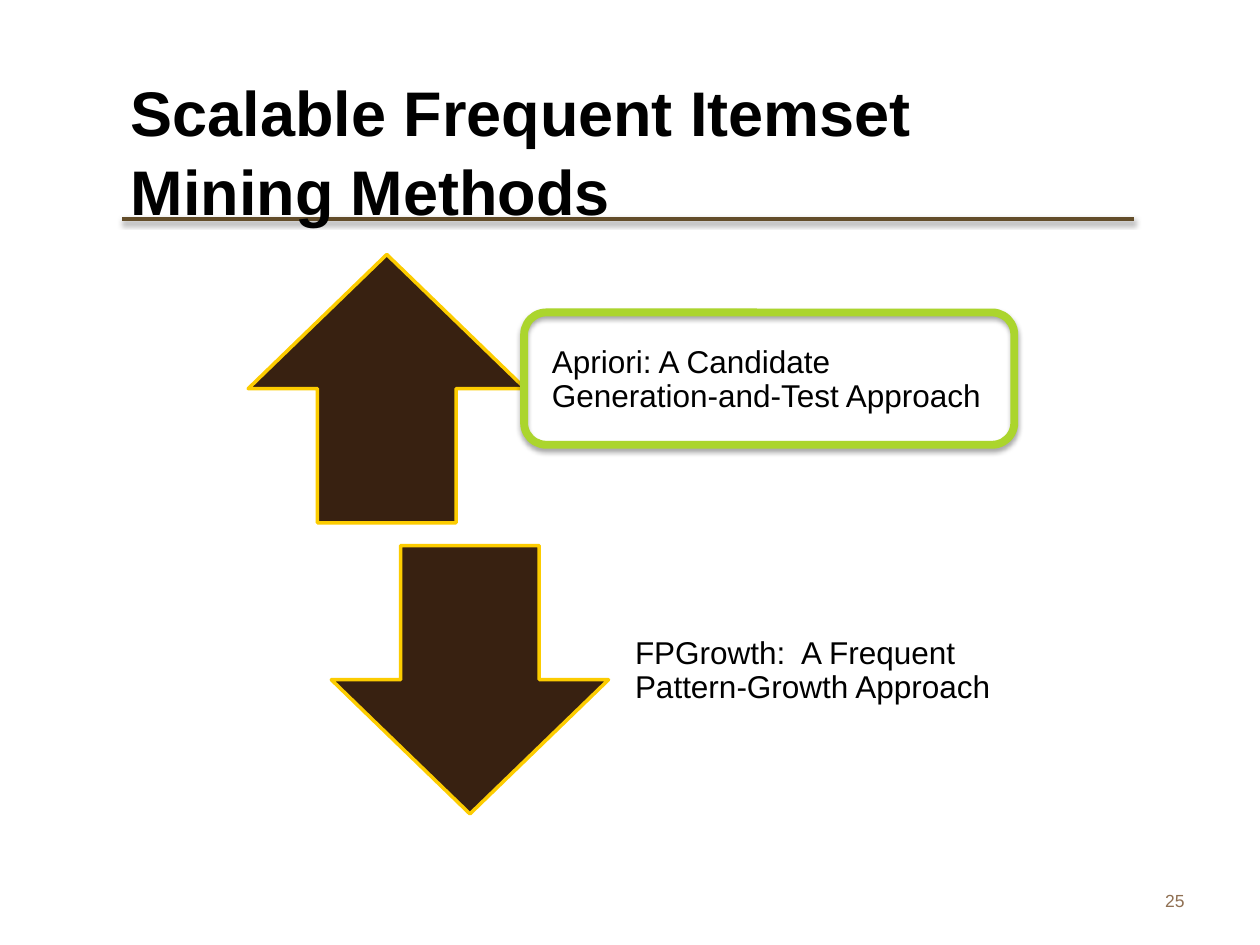
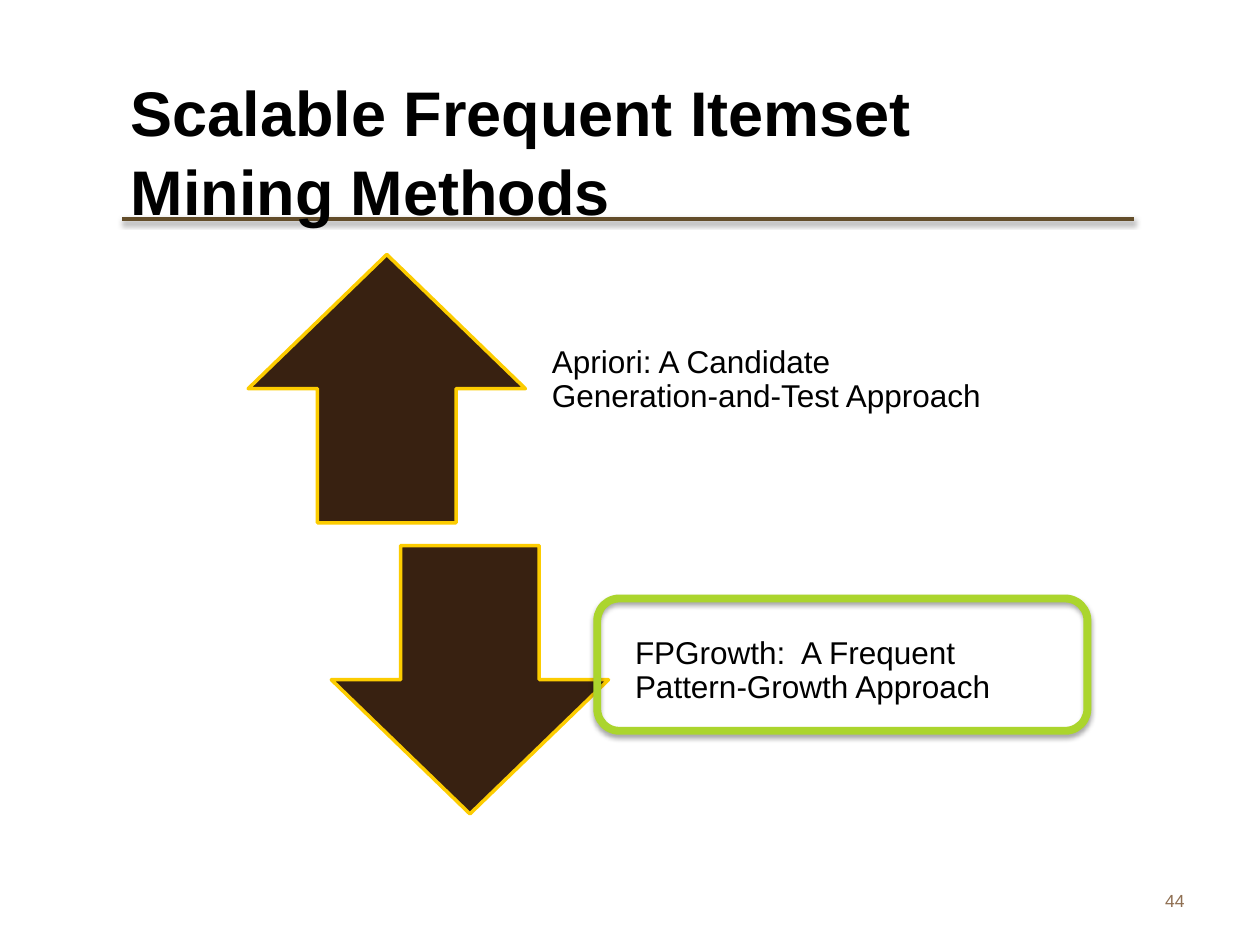
"""Build two slides on scalable frequent itemset mining, each highlighting one method."""
import pptx
import pptx.util
import pptx.dml.color
import pptx.enum.shapes
import pptx.enum.text
import pptx.oxml
import pptx.oxml.ns

Inches, Pt = pptx.util.Inches, pptx.util.Pt
SHAPE = pptx.enum.shapes.MSO_SHAPE
ALIGN = pptx.enum.text.PP_ALIGN

TITLE = "Scalable Frequent Itemset Mining Methods"
METHODS = [
    (SHAPE.UP_ARROW, "Apriori: A Candidate Generation-and-Test Approach"),
    (SHAPE.DOWN_ARROW, "FPGrowth:  A Frequent Pattern-Growth Approach"),
]
SLIDES = [
    {"number": "25", "highlight": (4.16, 2.48)},
    {"number": "44", "highlight": (4.74, 4.75)},
]

COLORS = {
    "text": "000000",
    "number": "8F6F52",
    "rule": "634D2A",
    "arrow": "382111",
    "arrow_edge": "FCCC00",
    "highlight": "ABD52D",
    "shadow": "000000",
}
FONT = "Arial"
ARROW_LEFT, ARROW_TOP = 1.97, 2.02
ARROW_WIDTH, ARROW_HEIGHT = 2.2, 2.13
STEP_X, STEP_Y = 0.66, 2.31
LABEL_OFFSET, LABEL_WIDTH = 2.27, 3.73
LABEL_INSETS = (0.14, 0, 0.14, 0.14)
HIGHLIGHT_SIZE = (3.89, 1.05)


def rgb(name):
    return pptx.dml.color.RGBColor.from_string(COLORS[name])


def set_line(item, color, width):
    item.line.color.rgb = rgb(color)
    item.line.width = Pt(width)


def drop_shadow(effects, alpha, distance):
    effects.append(pptx.oxml.parse_xml(
        f'<a:outerShdw {pptx.oxml.ns.nsdecls("a")} blurRad="{Pt(3.1)}" dist="{Pt(distance)}" '
        f'dir="5400000" rotWithShape="0"><a:srgbClr val="{COLORS["shadow"]}">'
        f'<a:alpha val="{alpha * 1000}"/></a:srgbClr></a:outerShdw>'))


def add_text(slide, text, box, size, color="text", bold=False, align=ALIGN.LEFT,
             spacing=None, insets=(0.1, 0.05, 0.1, 0.05)):
    frame = slide.shapes.add_textbox(*map(Inches, box)).text_frame
    frame.word_wrap = True
    frame.vertical_anchor = pptx.enum.text.MSO_ANCHOR.MIDDLE
    (frame.margin_left, frame.margin_top,
     frame.margin_right, frame.margin_bottom) = map(Inches, insets)
    paragraph = frame.paragraphs[0]
    paragraph.text = text
    paragraph.alignment = align
    paragraph.line_spacing = spacing
    font = paragraph.font
    font.name, font.size, font.bold = FONT, Pt(size), bold
    font.color.rgb = rgb(color)


def add_shape(slide, kind, box, edge, width):
    shape = slide.shapes.add_shape(kind, *map(Inches, box))
    shape.shadow.inherit = False
    set_line(shape, edge, width)
    return shape


def add_frame(slide, number):
    rule = slide.shapes.add_connector(
        pptx.enum.shapes.MSO_CONNECTOR.STRAIGHT,
        Inches(0.97), Inches(1.74), Inches(9), Inches(1.74))
    set_line(rule, "rule", 2)
    effects = pptx.oxml.parse_xml(f'<a:effectLst {pptx.oxml.ns.nsdecls("a")}/>')
    rule._element.spPr.append(effects)
    drop_shadow(effects, 38, 1.6)
    add_text(slide, number, (7.17, 6.95, 2.33, 0.4), 10, "number", align=ALIGN.RIGHT)
    add_text(slide, TITLE, (0.94, 0.71, 8.08, 0.94), 36, bold=True, spacing=1.05)


def add_methods(slide):
    for index, (kind, label) in enumerate(METHODS):
        left, top = ARROW_LEFT + index * STEP_X, ARROW_TOP + index * STEP_Y
        arrow = add_shape(slide, kind, (left, top, ARROW_WIDTH, ARROW_HEIGHT), "arrow_edge", 2)
        arrow.fill.solid()
        arrow.fill.fore_color.rgb = rgb("arrow")
        add_text(slide, label, (left + LABEL_OFFSET, top, LABEL_WIDTH, ARROW_HEIGHT),
                 18, spacing=0.9, insets=LABEL_INSETS)


def add_highlight(slide, corner):
    highlight = add_shape(slide, SHAPE.ROUNDED_RECTANGLE, corner + HIGHLIGHT_SIZE,
                          "highlight", 4.5)
    highlight.fill.background()
    drop_shadow(highlight._element.spPr.find(pptx.oxml.ns.qn("a:effectLst")), 35, 1.8)


def main():
    deck = pptx.Presentation()
    deck.slide_width, deck.slide_height = Inches(10), Inches(7.5)
    for content in SLIDES:
        slide = deck.slides.add_slide(deck.slide_layouts[6])
        add_frame(slide, content["number"])
        add_methods(slide)
        add_highlight(slide, content["highlight"])
    deck.save("out.pptx")


if __name__ == "__main__":
    main()
